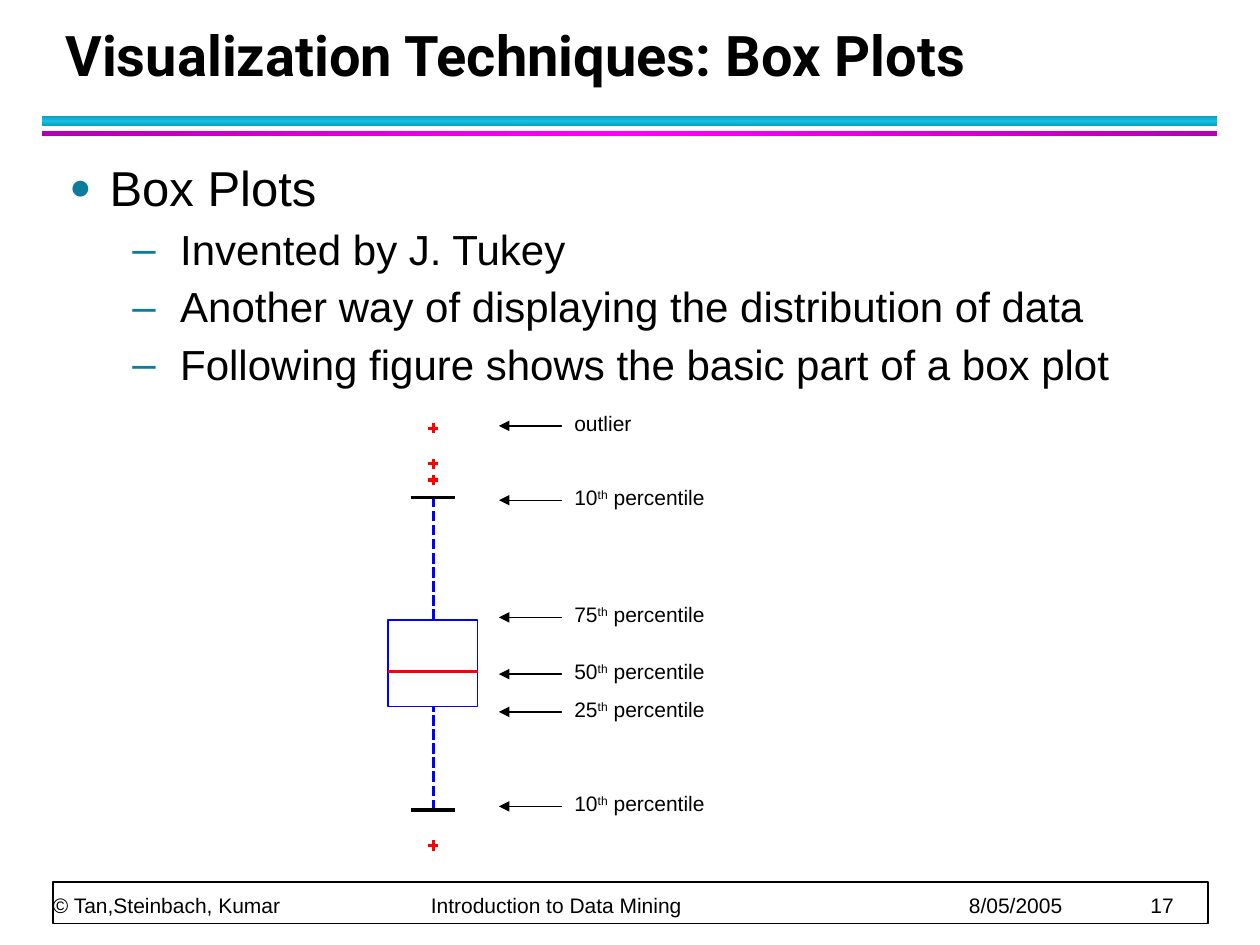
"""Build a slide that explains the parts of a box plot."""
import copy
from dataclasses import dataclass

import pptx
import pptx.dml.color
import pptx.enum.dml
import pptx.enum.shapes
import pptx.enum.text
import pptx.oxml
import pptx.oxml.ns
import pptx.util
from pptx.dml.color import RGBColor
from pptx.util import Inches, Pt

BLACK = RGBColor(0x00, 0x00, 0x00)
WHITE = RGBColor(0xFF, 0xFF, 0xFF)
RED = RGBColor(0xFF, 0x00, 0x00)
BLUE = RGBColor(0x00, 0x00, 0xFF)
TEAL = RGBColor(0x0C, 0x7B, 0x9C)
CYAN_EDGE = RGBColor(0x0E, 0x9B, 0xBA)
CYAN = RGBColor(0x12, 0xC2, 0xE9)
MAGENTA_EDGE = RGBColor(0xB2, 0x00, 0xB2)
MAGENTA = RGBColor(0xFF, 0x00, 0xFF)

AXIS_X = 3.44
BOX_LEFT, BOX_RIGHT = 3.08, 3.79
UPPER_CAP, BOX_TOP, MEDIAN, BOX_BOTTOM, LOWER_CAP = 3.95, 4.92, 5.33, 5.61, 6.43
OUTLIERS = (3.4, 3.81, 3.68, 6.71)


@dataclass
class Band:
    top: float
    height: float
    edge: RGBColor
    middle: RGBColor
    angle: int


@dataclass
class Label:
    y: float
    number: str
    suffix: str
    rest: str
    width: float = 1.37
    height: float = 0.37


@dataclass
class Bullet:
    text: str
    level: int
    size: int
    before: float
    margin: float
    hanging: float
    char: str
    percent: int


BANDS = (
    Band(0.92, 0.08, CYAN_EDGE, CYAN, 90),
    Band(1.04, 0.04, MAGENTA_EDGE, MAGENTA, 180),
)
LABELS = (
    Label(3.38, "outlier", "", "", 0.75, 0.25),
    Label(6.4, "10", "th", " percentile"),
    Label(5.65, "25", "th", " percentile"),
    Label(4.9, "75", "th", " percentile"),
    Label(5.35, "50", "th", " percentile"),
    Label(3.97, "10", "th", " percentile"),
)
BULLETS = (
    Bullet("Box Plots", 0, 28, 0, 0.32, 0.32, "●", 75),
    *(Bullet(text, 1, 24, 3, 0.88, 0.38, "–", 100) for text in (
        "Invented by J. Tukey",
        "Another way of displaying the distribution of data",
        "Following figure shows the basic part of a box plot",
    )),
)


def add_xml(parent, tag: str, **attributes: str):
    element = pptx.oxml.parse_xml(f"<a:{tag} {pptx.oxml.ns.nsdecls('a')}/>")
    for name, value in attributes.items():
        element.set(name, value)
    parent.append(element)
    return element


def set_font(p, size: int, name: str = "Arial", bold: bool = False) -> None:
    p.font.size, p.font.name, p.font.bold = Pt(size), name, bold
    p.font.color.rgb = BLACK


def add_rect(s, left: float, top: float, width: float, height: float):
    sp = s.shapes.add_shape(pptx.enum.shapes.MSO_SHAPE.RECTANGLE, Inches(left),
                            Inches(top), Inches(width), Inches(height))
    sp.shadow.inherit = False
    return sp


def add_line(s, x1: float, y1: float, x2: float, y2: float, color: RGBColor,
             width: float = 0, dashed: bool = False, arrow: bool = False) -> None:
    line = s.shapes.add_connector(pptx.enum.shapes.MSO_CONNECTOR.STRAIGHT,
                                  Inches(x1), Inches(y1), Inches(x2), Inches(y2))
    line.line.color.rgb = color
    line.line.width = Pt(width)
    if dashed:
        line.line.dash_style = pptx.enum.dml.MSO_LINE.SQUARE_DOT
    if arrow:
        add_xml(line.line._get_or_add_ln(), "headEnd", type="triangle")
    add_xml(line._element.spPr, "effectLst")


def add_band(s, band: Band) -> None:
    sp = add_rect(s, 0.33, band.top, 9.33, band.height)
    sp.line.fill.background()
    sp.fill.gradient()
    sp.fill.gradient_angle = band.angle
    stops = sp._element.spPr.find(".//" + pptx.oxml.ns.qn("a:gsLst"))
    stops.insert(1, copy.deepcopy(stops[0]))
    colors = (band.edge, band.middle, band.edge)
    for i, (stop, color) in enumerate(zip(sp.fill.gradient_stops, colors)):
        stop.position = i / 2
        stop.color.rgb = color


def add_footer(s) -> None:
    sp = add_rect(s, 0.42, 7, 9.17, 0.33)
    sp.fill.solid()
    sp.fill.fore_color.rgb = WHITE
    sp.line.color.rgb = BLACK
    sp.line.width = Pt(1)
    tf = s.shapes.add_textbox(Inches(0.42), Inches(6.72), Inches(9.15), Inches(0.56)).text_frame
    tf.margin_left = tf.margin_top = tf.margin_right = tf.margin_bottom = 0
    tf.word_wrap = True
    tf.vertical_anchor = pptx.enum.text.MSO_ANCHOR.BOTTOM
    p = tf.paragraphs[0]
    p.text = "© Tan,Steinbach, Kumar\tIntroduction to Data Mining\t8/05/2005\t17"
    tabs = add_xml(p._p.get_or_add_pPr(), "tabLst")
    for x in (3, 7.27, 8.71):
        add_xml(tabs, "tab", pos=str(Inches(x)), algn="l")
    p.line_spacing = Pt(20)
    set_font(p, 12)


def fill_title(s) -> None:
    sp = s.shapes.title
    sp.left, sp.top, sp.width, sp.height = Inches(0.42), Inches(0.17), Inches(9.06), Inches(0.58)
    tf = sp.text_frame
    tf.auto_size = pptx.enum.text.MSO_AUTO_SIZE.NONE
    tf.vertical_anchor = pptx.enum.text.MSO_ANCHOR.BOTTOM
    p = tf.paragraphs[0]
    p.text = "Visualization Techniques: Box Plots"
    p.alignment = pptx.enum.text.PP_ALIGN.LEFT
    p.line_spacing = Pt(36)
    set_font(p, 32, "Roboto", True)


def fill_body(s) -> None:
    sp = s.placeholders[1]
    sp.left, sp.top, sp.width, sp.height = Inches(0.45), Inches(1.25), Inches(9.22), Inches(2)
    tf = sp.text_frame
    tf.auto_size = pptx.enum.text.MSO_AUTO_SIZE.NONE
    for i, bullet in enumerate(BULLETS):
        p = tf.add_paragraph() if i else tf.paragraphs[0]
        p.text, p.level = bullet.text, bullet.level
        pPr = p._p.get_or_add_pPr()
        pPr.set("marL", str(Inches(bullet.margin)))
        pPr.set("indent", str(-Inches(bullet.hanging)))
        add_xml(add_xml(pPr, "buClr"), "srgbClr", val=str(TEAL))
        add_xml(pPr, "buSzPct", val=str(bullet.percent * 1000))
        add_xml(pPr, "buFont", typeface="Arial")
        add_xml(pPr, "buChar", char=bullet.char)
        p.line_spacing, p.space_before, p.space_after = 0.9, Pt(bullet.before), Pt(4)
        set_font(p, bullet.size)


def add_box_plot(s) -> None:
    add_line(s, AXIS_X, BOX_TOP, AXIS_X, UPPER_CAP, BLUE, dashed=True)
    add_line(s, AXIS_X, LOWER_CAP, AXIS_X, BOX_BOTTOM, BLUE, dashed=True)
    for y in (LOWER_CAP, UPPER_CAP):
        add_line(s, 3.26, y, 3.61, y, BLACK)
    box = add_rect(s, BOX_LEFT, BOX_TOP, BOX_RIGHT - BOX_LEFT, BOX_BOTTOM - BOX_TOP)
    box.fill.background()
    box.line.color.rgb = BLUE
    box.line.width = Pt(0)
    add_line(s, BOX_LEFT, MEDIAN, BOX_RIGHT, MEDIAN, RED)
    for y in OUTLIERS:
        add_line(s, AXIS_X - 0.04, y, AXIS_X + 0.04, y, RED)
        add_line(s, AXIS_X, y - 0.04, AXIS_X, y + 0.04, RED)


def add_label(s, label: Label) -> None:
    add_line(s, 3.96, label.y, 4.46, label.y, BLACK, 0.75, arrow=True)
    sp = s.shapes.add_textbox(Inches(4.46), Inches(label.y - 0.15),
                              Inches(label.width), Inches(label.height))
    sp.fill.solid()
    sp.fill.fore_color.rgb = WHITE
    sp.text_frame.word_wrap = True
    p = sp.text_frame.paragraphs[0]
    p.line_spacing, p.space_after = 0.9, Pt(4)
    set_font(p, 12)
    for text in filter(None, (label.number, label.suffix, label.rest)):
        r = p.add_run()
        r.text = text
        if text == label.suffix:
            r.font._element.set("baseline", "30000")


def main() -> None:
    prs = pptx.Presentation()
    prs.slide_width, prs.slide_height = Inches(10), Inches(7.5)
    s = prs.slides.add_slide(prs.slide_layouts[1])
    for band in BANDS:
        add_band(s, band)
    add_footer(s)
    fill_title(s)
    fill_body(s)
    add_box_plot(s)
    for label in LABELS:
        add_label(s, label)
    prs.save("out.pptx")


if __name__ == "__main__":
    main()
